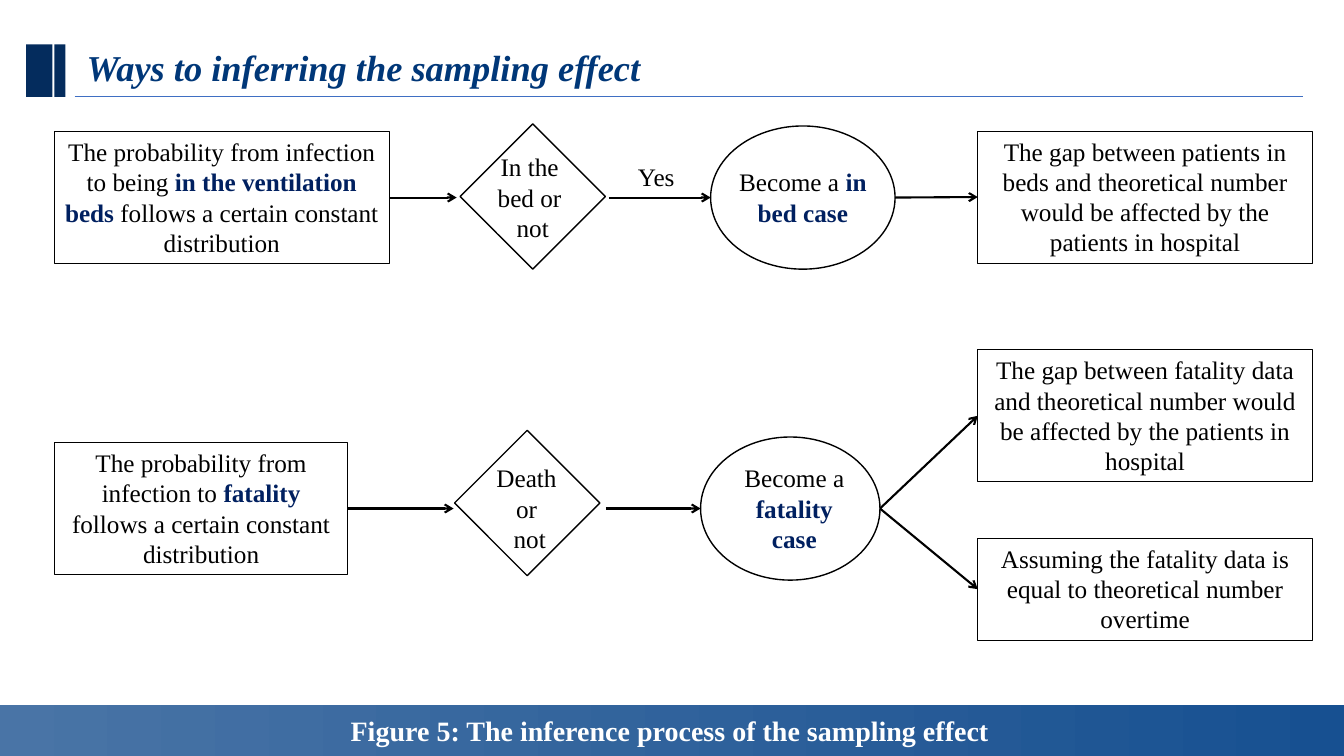
import pptx
import pptx.util
import pptx.dml.color
import pptx.enum.shapes
import pptx.enum.text
import pptx.oxml.ns
import lxml.etree

RGBColor = pptx.dml.color.RGBColor
SHAPE = pptx.enum.shapes.MSO_SHAPE
ALIGN = pptx.enum.text.PP_ALIGN
ANCHOR = pptx.enum.text.MSO_ANCHOR

BLACK = RGBColor(0x00, 0x00, 0x00)
WHITE = RGBColor(0xFF, 0xFF, 0xFF)
NAVY = RGBColor(0x04, 0x2C, 0x5D)
TITLE_BLUE = RGBColor(0x00, 0x37, 0x78)
KEY_BLUE = RGBColor(0x00, 0x20, 0x60)
RULE_BLUE = RGBColor(0x3F, 0x6F, 0xC3)
BAR_LEFT = RGBColor(0x49, 0x74, 0xA6)
BAR_RIGHT = RGBColor(0x17, 0x50, 0x91)

COLS, ROWS = 133.33, 75
END_W, BLOCK_H, SQUARE, QUESTION_W = 33.2, 13.1, 10.2, 15.1
OVAL_H = 14.2


def cells(*values):
    """Convert grid cells of a tenth of an inch to lengths."""
    return [pptx.util.Inches(v / 10) for v in values]


def write(tf, text, color=BLACK, align=ALIGN.CENTER, **font):
    """Write one paragraph per line, with parts between asterisks as key words."""
    tf.word_wrap = True
    for i, line in enumerate(text.split("\n")):
        p = tf.paragraphs[0] if i == 0 else tf.add_paragraph()
        p.alignment = align
        for j, part in enumerate(line.split("*")):
            if not part:
                continue
            r = p.add_run()
            r.text = part
            formats = {"name": "Times New Roman", "size": pptx.util.Pt(18), "bold": j % 2 == 1}
            for name, value in {**formats, **font}.items():
                setattr(r.font, name, value)
            r.font.color.rgb = KEY_BLUE if j % 2 else color


def add_text(s, box, text, **formats):
    """Add a text box."""
    tb = s.shapes.add_textbox(*cells(*box))
    write(tb.text_frame, text, **formats)
    return tb


def add_shape(s, kind, box, fill=None, line=None, text=""):
    """Add a flat shape with an optional fill, outline and text."""
    sp = s.shapes.add_shape(kind, *cells(*box))
    sp.shadow.inherit = False
    if fill is None:
        sp.fill.background()
    else:
        sp.fill.solid()
        sp.fill.fore_color.rgb = fill
    if line is None:
        sp.line.fill.background()
    else:
        sp.line.color.rgb = BLACK
        sp.line.width = pptx.util.Pt(line)
    if text:
        sp.text_frame.vertical_anchor = ANCHOR.TOP
        write(sp.text_frame, text)
    return sp


def add_line(s, start, end, color=BLACK, width=1.5, arrow=True, source=None, target=None):
    """Add a straight line, joined to a source's right or a target's left side."""
    c = s.shapes.add_connector(pptx.enum.shapes.MSO_CONNECTOR.STRAIGHT, *cells(*start, *end))
    c.line.color.rgb = color
    c.line.width = pptx.util.Pt(width)
    qn = pptx.oxml.ns.qn
    spPr = c.element.spPr
    if arrow:
        lxml.etree.SubElement(spPr.find(qn("a:ln")), qn("a:tailEnd"), type="arrow")
    lxml.etree.SubElement(spPr, qn("a:effectLst"))
    if source is not None:
        c.begin_connect(source, 3)
    if target is not None:
        c.end_connect(target, 1)


def header(s, box, text):
    """Place the title, its two blocks and the rule below."""
    x, y, w, h = box
    title = s.shapes.title
    title.left, title.top, title.width, title.height = cells(x + 6, y + 0.7, 80, 3.7)
    tf = title.text_frame
    frame = {"margin_left": 0, "margin_top": 0, "margin_right": 0, "margin_bottom": 0,
             "vertical_anchor": ANCHOR.MIDDLE, "auto_size": pptx.enum.text.MSO_AUTO_SIZE.NONE}
    for name, value in frame.items():
        setattr(tf, name, value)
    write(tf, text, TITLE_BLUE, ALIGN.LEFT, size=pptx.util.Pt(26), bold=True, italic=True)
    tf.paragraphs[0].line_spacing = 0.9
    for dx, block_w in ((0, 2.6), (2.8, 1.1)):
        add_shape(s, SHAPE.RECTANGLE, (x + dx, y, block_w, h), NAVY)
    add_line(s, (x + 4.8, y + h), (x + w, y + h), RULE_BLUE, 0.75, arrow=False)


def footer(s, box, text):
    """Place the caption on its shaded bar."""
    x, y, w, h = box
    bar = add_shape(s, SHAPE.RECTANGLE, box, BAR_LEFT)
    bar.fill.gradient()
    bar.fill.gradient_angle = 0
    for stop, color, position in zip(bar.fill.gradient_stops, (BAR_LEFT, BAR_RIGHT), (0, 1)):
        stop.color.rgb = color
        stop.position = position
    add_text(s, (x + 33.8, y + 0.4, 69.1, 4.3), text, color=WHITE, align=ALIGN.LEFT,
             size=pptx.util.Pt(20), bold=True)


def flow(s, box, axis, cause, question, outcome, ends, answer=None):
    """Place a chain of cause, question, outcome and end boxes along an axis."""
    x, y, w, h = box
    mid = y + axis

    cause_w, text = cause
    start = add_shape(s, SHAPE.RECTANGLE, (x, mid - BLOCK_H / 2, cause_w, BLOCK_H), line=0.75, text=text)

    center, dx, dy, text = question
    left, right = x + center - QUESTION_W / 2, x + center + QUESTION_W / 2
    diamond = add_shape(s, SHAPE.RECTANGLE, (x + center + dx - SQUARE / 2, mid + dy - SQUARE / 2,
                                             SQUARE, SQUARE), line=1)
    diamond.rotation = 45
    add_text(s, (left, mid - 5.05, QUESTION_W, 10.1), text)

    oval_x, oval_w, dx, text_w, text_h, text = outcome
    oval_left, oval_right = x + oval_x, x + oval_x + oval_w
    add_shape(s, SHAPE.OVAL, (oval_left, mid - OVAL_H / 2, oval_w, OVAL_H), line=1)
    add_text(s, (oval_left + (oval_w - text_w) / 2 + dx, mid - text_h / 2, text_w, text_h), text)

    add_line(s, (x + cause_w, mid), (left, mid), source=start)
    add_line(s, (right, mid), (oval_left, mid))
    if answer:
        add_text(s, (right + 1.9, mid - 4.1, 6, 4), answer, align=ALIGN.LEFT)
    for top, end_h, text in ends:
        end = add_shape(s, SHAPE.RECTANGLE, (x + w - END_W, y + top, END_W, end_h), line=0.75, text=text)
        add_line(s, (oval_right, mid), (x + w - END_W, y + top + end_h / 2), target=end)


def main():
    """Build the slide and save it."""
    prs = pptx.Presentation()
    prs.slide_width, prs.slide_height = cells(COLS, ROWS)
    s = prs.slides.add_slide(prs.slide_layouts[5])
    header(s, (2.6, 4.4, 126.7, 5.2), "Ways to inferring the sampling effect")
    footer(s, (0, 69.9, COLS, 5.1), "Figure 5: The inference process of the sampling effect")
    flow(s, (5.4, 12.5, 124.8, 14.2), 7.1,
         (33.2, "The probability from infection to being* in the ventilation beds* "
                "follows a certain constant distribution"),
         (47.45, 0, -0.1, "In the \nbed or \nnot"),
         (65.1, 18.3, 0, 15.1, 7.1, "Become a *in bed case*"),
         [(0.5, 13.1, "The gap between patients in beds and theoretical number "
                      "would be affected by the patients in hospital")],
         "Yes")
    flow(s, (5.4, 34.7, 124.8, 28.8), 15.75,
         (29.1, "The probability from infection to *fatality *follows a certain constant distribution"),
         (47.15, -0.25, -0.55, "Death \nor \nnot"),
         (64.1, 17.8, 0.4, 14.2, 10.1, "Become a *fatality case*"),
         [(0, 13.1, "The gap between fatality data and theoretical number "
                    "would be affected by the patients in hospital"),
          (18.7, 10.1, "Assuming the fatality data is equal to theoretical number overtime")])
    prs.save("out.pptx")


if __name__ == "__main__":
    main()
